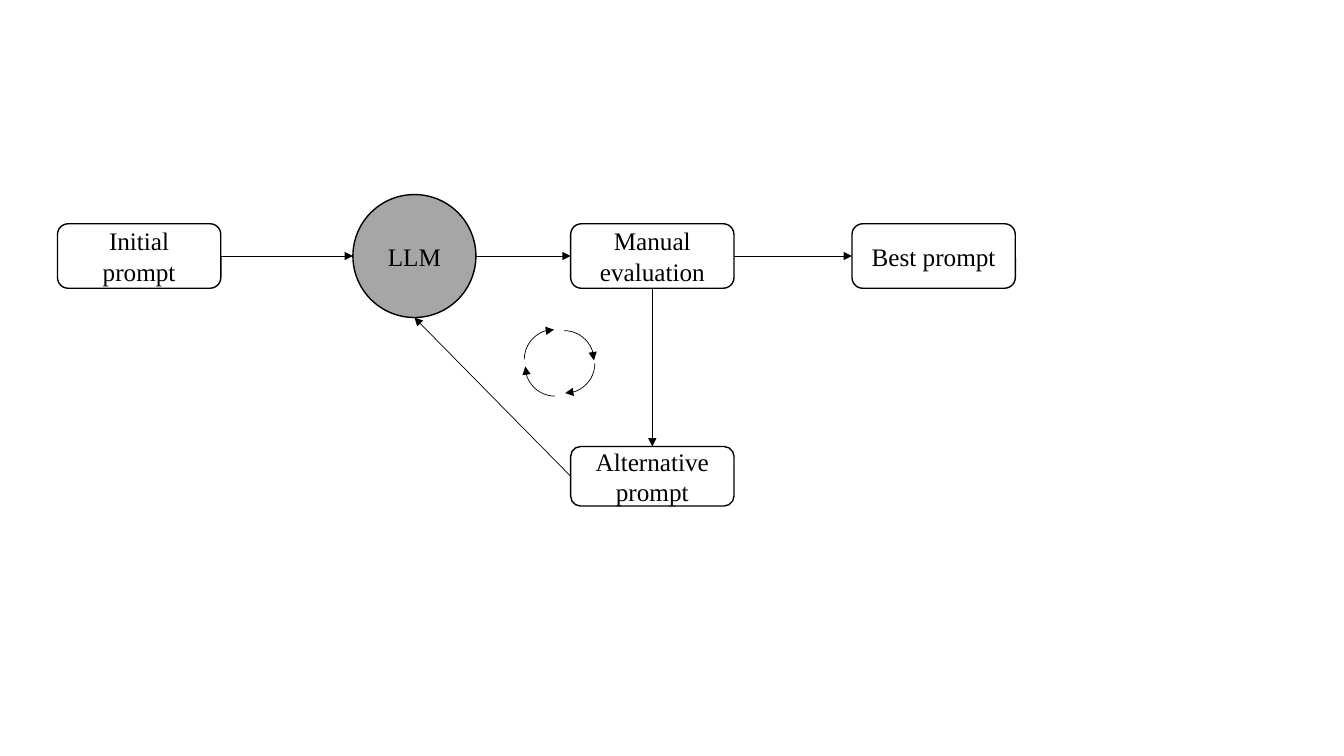
from pptx import Presentation
from pptx import util as u
from pptx.dml.color import RGBColor
from pptx.enum import shapes, text
from pptx.oxml.ns import qn
from lxml import etree

PX = 9144
BLACK = RGBColor(0x00, 0x00, 0x00)
WHITE = RGBColor(0xFF, 0xFF, 0xFF)
GRAY = RGBColor(0xA6, 0xA6, 0xA6)
FONT = "Times New Roman"
TOP, LEFT, BOTTOM, RIGHT = range(4)
KIND = shapes.MSO_SHAPE


def add_outline(s, kind, box, width):
    """Add a preset shape with a black line and no shadow."""
    sp = s.shapes.add_shape(kind, *(v * PX for v in box))
    sp.shadow.inherit = False
    sp.line.color.rgb = BLACK
    sp.line.width = u.Pt(width)
    return sp


def add_arrowhead(line):
    """Put a triangle at the end of a line."""
    ln = line._get_or_add_ln()
    etree.SubElement(ln, qn("a:tailEnd"), type="triangle")


def add_node(s, label, box, kind=KIND.ROUNDED_RECTANGLE, color=WHITE):
    """Add one labelled step of the flow."""
    sp = add_outline(s, kind, box, 1)
    sp.fill.solid()
    sp.fill.fore_color.rgb = color
    tf = sp.text_frame
    tf.word_wrap = True
    tf.vertical_anchor = text.MSO_ANCHOR.MIDDLE
    tf.text = label
    p = tf.paragraphs[0]
    p.alignment = text.PP_ALIGN.CENTER
    r = p.runs[0]
    r.font.name = FONT
    r.font.size = u.Pt(18)
    r.font.color.rgb = BLACK
    return sp


def add_arrow(s, start, start_side, end, end_side):
    """Join the sides of two nodes with a straight arrow."""
    c = s.shapes.add_connector(shapes.MSO_CONNECTOR.STRAIGHT, 0, 0, 0, 0)
    c.begin_connect(start, start_side)
    c.end_connect(end, end_side)
    for tag, node, side in (("a:stCxn", start, start_side), ("a:endCxn", end, end_side)):
        if node.auto_shape_type == KIND.FLOWCHART_CONNECTOR:
            c._element.find(".//" + qn(tag)).set("idx", str(2 * side))
    c.line.color.rgb = BLACK
    c.line.width = u.Pt(0.5)
    add_arrowhead(c.line)
    etree.SubElement(c._element.spPr, qn("a:effectLst"))


def add_cycle(s, x, y):
    """Draw four quarter-circle arrows that turn clockwise."""
    for turn, (dx, dy) in enumerate(((10, 1), (11, 4), (1, 7), (0, 0))):
        sp = add_outline(s, KIND.ARC, (x + dx, y + dy, 59, 59), 0.5)
        sp.fill.background()
        sp.rotation = 90 * turn
        add_arrowhead(sp.line)


def add_flow(s, x, y):
    """Draw the prompt loop with its nodes, arrows and cycle sign."""
    w, h = 162, 64
    row = y + 29
    add_cycle(s, x + 463, y + 134)
    initial = add_node(s, "Initial prompt", (x, row, w, h))
    llm = add_node(s, "LLM", (x + 293, y, 122, 122), KIND.FLOWCHART_CONNECTOR, GRAY)
    manual = add_node(s, "Manual evaluation", (x + 509, row, w, h))
    best = add_node(s, "Best prompt", (x + 788, row, w, h))
    alternative = add_node(s, "Alternative prompt", (x + 509, y + 250, w, 59))
    for start, end in ((initial, llm), (llm, manual), (manual, best)):
        add_arrow(s, start, RIGHT, end, LEFT)
    add_arrow(s, manual, BOTTOM, alternative, TOP)
    add_arrow(s, alternative, LEFT, llm, BOTTOM)


def main():
    """Build the slide and save it."""
    prs = Presentation()
    prs.slide_width, prs.slide_height = 1333 * PX, 750 * PX
    s = prs.slides.add_slide(prs.slide_layouts[6])
    add_flow(s, 57, 193)
    prs.save("out.pptx")


if __name__ == "__main__":
    main()
